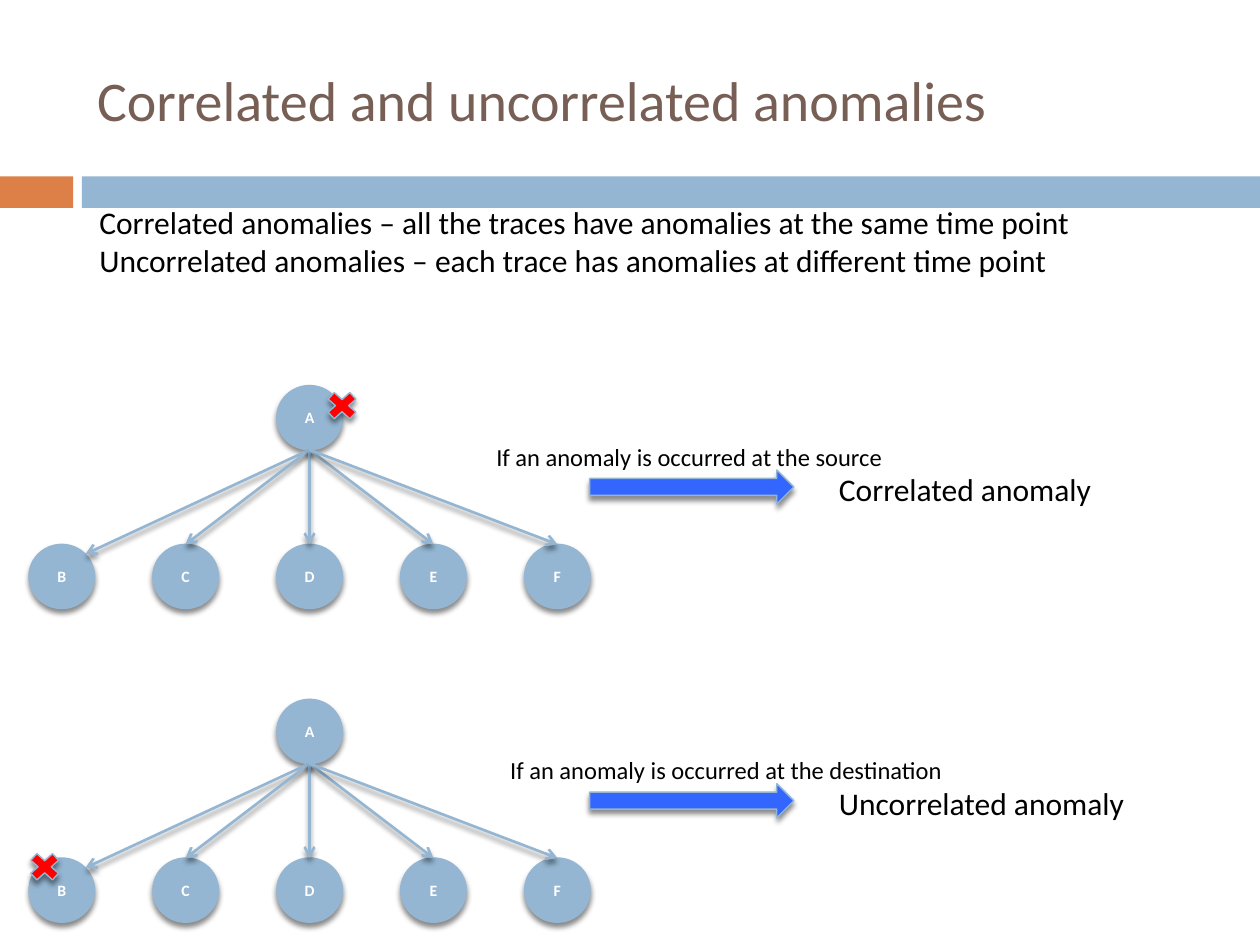
from lxml import etree
from pptx import Presentation
from pptx.dml.color import RGBColor
from pptx.enum.shapes import MSO_CONNECTOR, MSO_SHAPE
from pptx.enum.text import MSO_ANCHOR, PP_ALIGN
from pptx.oxml.ns import qn
from pptx.util import Pt

OVAL, RECT = MSO_SHAPE.OVAL, MSO_SHAPE.RECTANGLE
ARROW, CROSS = MSO_SHAPE.RIGHT_ARROW, MSO_SHAPE.MATH_MULTIPLY
LINE, MIDDLE = MSO_CONNECTOR.STRAIGHT, MSO_ANCHOR.MIDDLE
LEFT, CENTER, JUSTIFY = PP_ALIGN.LEFT, PP_ALIGN.CENTER, PP_ALIGN.JUSTIFY
COLORS = {name: RGBColor.from_string(code) for name, code in {
    "orange": "DD8047", "blue": "94B6D2", "brown": "775F55", "black": "000000",
    "white": "FFFFFF", "red": "FF0000", "royal": "3366FF"}.items()}


def finish(shape, fill=None, width=0.79):
    """Fill and outline a shape or connector, then add its soft shadow."""
    if fill:
        shape.fill.solid()
        shape.fill.fore_color.rgb = COLORS[fill]
    shape.line.color.rgb = COLORS["blue"]
    shape.line.width = Pt(width)
    effects = etree.SubElement(shape.element.spPr, qn("a:effectLst"))
    shadow = etree.SubElement(effects, qn("a:outerShdw"), blurRad=str(Pt(3)),
                              dist=str(Pt(2.4)), dir="5400000", rotWithShape="0")
    color = etree.SubElement(shadow, qn("a:srgbClr"), val="000000")
    etree.SubElement(color, qn("a:alpha"), val="45000")


def write(shape, text, size, color="black", align=LEFT, bold=False):
    """Set the text of a shape and format every run."""
    frame = shape.text_frame
    frame.word_wrap = True
    frame.text = text
    for para in frame.paragraphs:
        para.alignment = align
        for run in para.runs:
            run.font.name = "Calibri"
            run.font.size = Pt(size)
            run.font.bold = bold
            run.font.color.rgb = COLORS[color]


deck = Presentation()
deck.slide_width, deck.slide_height = Pt(720), Pt(540)
slide = deck.slides.add_slide(deck.slide_layouts[5])

# Title and band
for left, width, color in [(0, 41.76, "orange"), (46.8, 673.2, "blue")]:
    band = slide.shapes.add_shape(RECT, Pt(left), Pt(100.8), Pt(width), Pt(18))
    band.fill.solid()
    band.fill.fore_color.rgb = COLORS[color]
    band.line.fill.background()
    band.shadow.inherit = False
title = slide.shapes.title
title.left, title.top, title.width, title.height = Pt(48.24), Pt(18), Pt(642.24), Pt(77.76)
write(title, "Correlated and uncorrelated anomalies", 32, "brown")
title.text_frame.vertical_anchor = MIDDLE

# Trees: top, cause (left, width, text), result, cross (left, offset from top)
trees = [
    (220.32, (276.48, 303.84, "If an anomaly is occurred at the source"),
     "Correlated anomaly", (183.6, 0.72)),
    (399.6, (284.4, 383.04, "If an anomaly is occurred at the destination"),
     "Uncorrelated anomaly", (13.68, 84.96)),
]
wide, high, first, pitch, drop = 37.44, 36.72, 16.56, 70.8, 90.72
for top, cause, result, cross in trees:
    parts = slide.shapes.add_group_shape().shapes
    root = first + 2 * pitch
    nodes = [("A", root, top)]
    nodes += [(name, first + i * pitch, top + drop) for i, name in enumerate("BCDEF")]
    for name, x, y in nodes:
        node = parts.add_shape(OVAL, Pt(x), Pt(y), Pt(wide), Pt(high))
        finish(node, "blue")
        write(node, name, 9, "white", CENTER, True)
        node.text_frame.vertical_anchor = MIDDLE

    for name, x, y in nodes[1:]:
        # The outermost left link meets its node on the upper right
        end = (x + 32.4, y + 5.5) if name == "B" else (x + wide / 2, y)
        link = parts.add_connector(LINE, Pt(root + wide / 2), Pt(top + high),
                                   Pt(end[0]), Pt(end[1]))
        finish(link, width=1.5)
        etree.SubElement(link.line._get_or_add_ln(), qn("a:tailEnd"), type="arrow")

    arrow = parts.add_shape(ARROW, Pt(336.96), Pt(top + 48.24), Pt(116.64), Pt(19.44))
    finish(arrow, "royal")
    left, width, text = cause
    label = parts.add_textbox(Pt(left), Pt(top + 28.44), Pt(width), Pt(24.48))
    write(label, text, 14)
    label = parts.add_textbox(Pt(472.32), Pt(top + 44.64), Pt(303.84), Pt(28.8))
    write(label, result, 18)
    mark = parts.add_shape(CROSS, Pt(cross[0]), Pt(top + cross[1]), Pt(23.76), Pt(21.6))
    finish(mark, "red")

# Definitions
intro = slide.shapes.add_textbox(Pt(13.68), Pt(112.32), Pt(640.8), Pt(51.12))
write(intro, "Correlated anomalies – all the traces have anomalies at the same time point\n"
      "Uncorrelated anomalies – each trace has anomalies at different time point",
      18, align=JUSTIFY)
for para in intro.text_frame.paragraphs:
    para.level = 1
    para._p.get_or_add_pPr().set("marL", str(Pt(36)))

deck.save("out.pptx")
